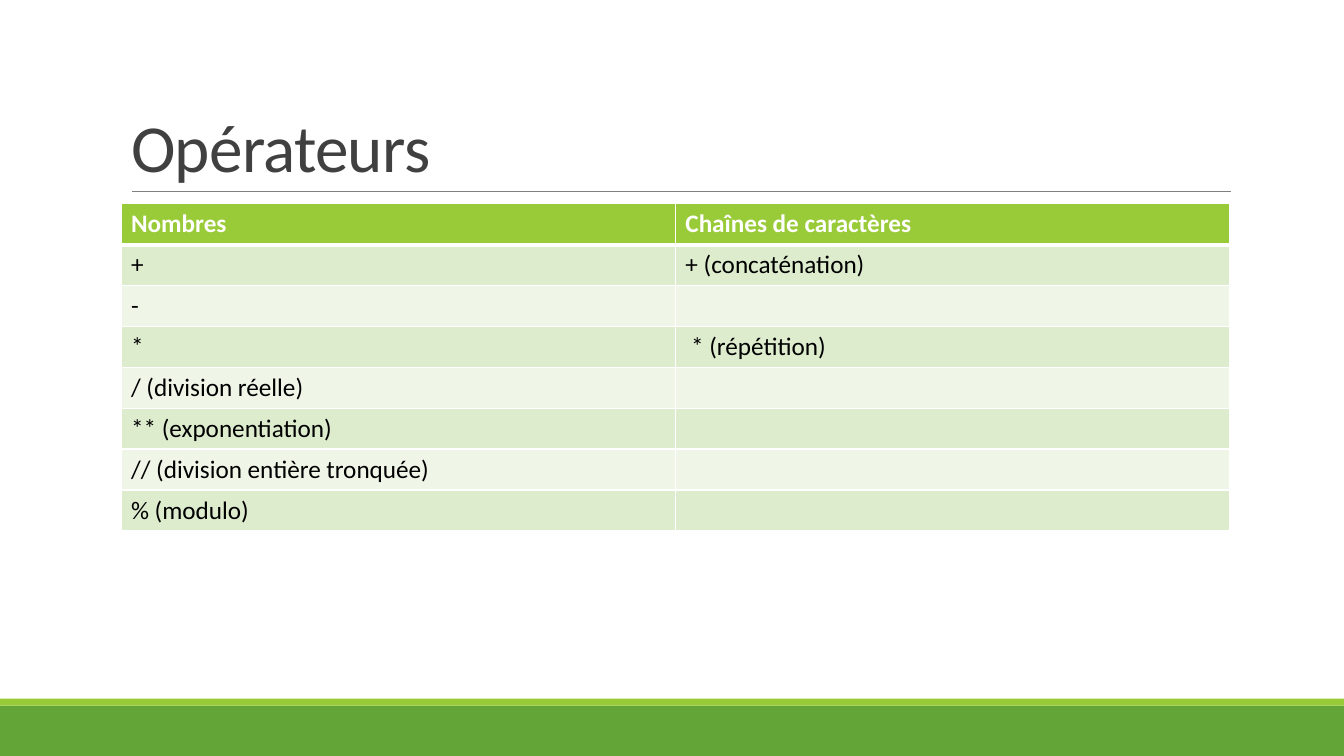
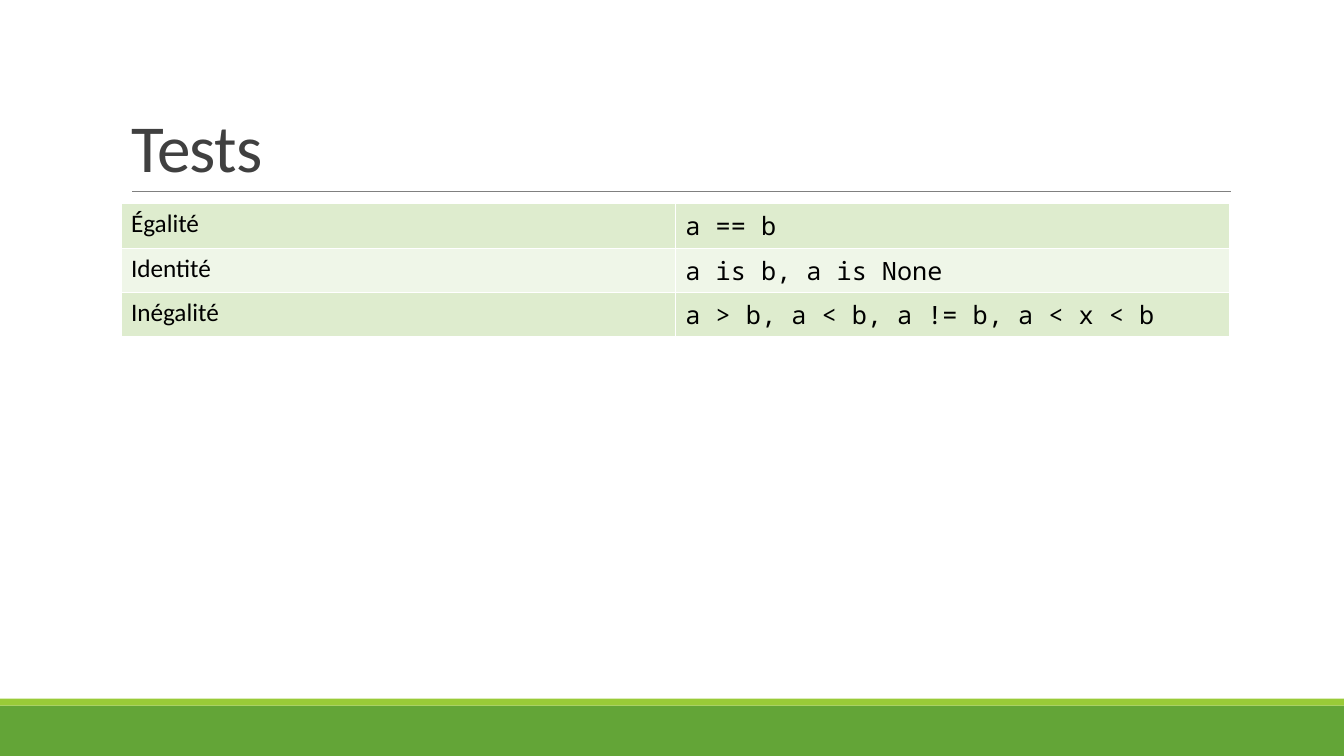
import dataclasses

import lxml.etree
import pptx
import pptx.dml.color
import pptx.enum.shapes
import pptx.enum.text
import pptx.oxml.ns
import pptx.slide
import pptx.util

Pt = pptx.util.Pt
qn = pptx.oxml.ns.qn

GREEN = "63A537"
LIME = "99CB38"
GREY = "808080"
DARK = "404040"
BLACK = "000000"
WHITE = "FFFFFF"
TINTS = ("DEECCE", "EFF6E8")
SANS = "Calibri"
MONO = "Noto Sans Mono"

WIDE, HIGH = 960, 540
LEFT, SPAN = 86.4, 792
RULE = 136.8
TOP = 145.6
ROW = 29.2


@dataclasses.dataclass(frozen=True)
class Band:
    top: float
    high: float
    fill: str


@dataclasses.dataclass(frozen=True)
class Page:
    title: str
    rows: tuple[tuple[str, str], ...]
    fonts: tuple[str, str] = (SANS, SANS)
    head: bool = False


BANDS = (Band(504, 36, GREEN), Band(499, 5, LIME))

PAGES = (
    Page(
        "Opérateurs",
        (
            ("Nombres", "Chaînes de caractères"),
            ("+", "+ (concaténation)"),
            ("-", ""),
            ("*", " * (répétition)"),
            ("/ (division réelle)", ""),
            ("** (exponentiation)", ""),
            ("// (division entière tronquée)", ""),
            ("% (modulo)", ""),
        ),
        head=True,
    ),
    Page(
        "Tests",
        (
            ("Égalité", "a == b"),
            ("Identité", "a is b, a is None"),
            ("Inégalité", "a > b, a < b, a != b, a < x < b"),
        ),
        fonts=(SANS, MONO),
    ),
)


def paint(item, tint: str) -> None:
    item.solid()
    item.fore_color.rgb = pptx.dml.color.RGBColor.from_string(tint)


def write(part, text: str, size: float, font: str, tint: str, bold: bool = False) -> None:
    run = part.add_run()
    run.text = text
    run.font.size = Pt(size)
    run.font.name = font
    run.font.bold = bold
    paint(run.font.fill, tint)


def style(layout: pptx.slide.SlideLayout, slide: pptx.slide.Slide) -> None:
    title = layout.placeholders[0]
    title.left, title.top = Pt(LEFT), Pt(22.3)
    title.width, title.height = Pt(SPAN), Pt(RULE - 22.3)
    parts = []
    for band in BANDS:
        rect = slide.shapes.add_shape(
            pptx.enum.shapes.MSO_SHAPE.RECTANGLE,
            Pt(0), Pt(band.top), Pt(WIDE), Pt(band.high),
        )
        rect.shadow.inherit = False
        paint(rect.fill, band.fill)
        rect.line.fill.background()
        parts.append(rect)
    rule = slide.shapes.add_connector(
        pptx.enum.shapes.MSO_CONNECTOR.STRAIGHT,
        Pt(94.4), Pt(RULE), Pt(879.2), Pt(RULE),
    )
    paint(rule.line.fill, GREY)
    rule.line.width = Pt(0.5)
    lxml.etree.SubElement(rule.element.spPr, qn("a:effectLst"))
    parts.append(rule)
    for mark, part in enumerate(parts, 20):
        part.element.xpath(".//p:cNvPr")[0].set("id", str(mark))
        layout.shapes.element.append(part.element)


def name(slide: pptx.slide.Slide, text: str) -> None:
    title = slide.shapes.title
    frame = title.text_frame
    frame.auto_size = pptx.enum.text.MSO_AUTO_SIZE.NONE
    frame.vertical_anchor = pptx.enum.text.MSO_ANCHOR.BOTTOM
    part = frame.paragraphs[0]
    part.alignment = pptx.enum.text.PP_ALIGN.LEFT
    part.line_spacing = 0.85
    write(part, text, 48, SANS, DARK)
    title.element.xpath(".//a:rPr")[0].set("spc", "-50")


def edge(prop, wide: dict[str, float]) -> None:
    for spot, side in enumerate("LRTB"):
        line = lxml.etree.Element(qn(f"a:ln{side}"), w=str(Pt(wide.get(side, 1))))
        fill = lxml.etree.SubElement(line, qn("a:solidFill"))
        lxml.etree.SubElement(fill, qn("a:srgbClr"), val=WHITE)
        prop.insert(spot, line)


def grid(slide: pptx.slide.Slide, page: Page) -> None:
    count = len(page.rows)
    frame = slide.shapes.add_table(
        count, 2, Pt(LEFT), Pt(TOP), Pt(SPAN), Pt(ROW * count)
    )
    table = frame.table
    table.first_row = page.head
    for row, texts in enumerate(page.rows):
        table.rows[row].height = Pt(ROW)
        top = page.head and row == 0
        for col, text in enumerate(texts):
            cell = table.cell(row, col)
            paint(cell.fill, LIME if top else TINTS[(row - page.head) % 2])
            part = cell.text_frame.paragraphs[0]
            part.font.size = Pt(18)
            if text:
                write(part, text, 18, page.fonts[col], WHITE if top else BLACK, top)
    for spot, prop in enumerate(frame.element.iter(qn("a:tcPr"))):
        row = spot // 2
        thick = {0: {"B": 3}, 1: {"T": 3}}.get(row, {}) if page.head else {}
        edge(prop, thick)


def main() -> None:
    deck = pptx.Presentation()
    deck.slide_width, deck.slide_height = Pt(WIDE), Pt(HIGH)
    layout = deck.slide_layouts[5]
    slides = [deck.slides.add_slide(layout) for _ in PAGES]
    style(layout, slides[0])
    for slide, page in zip(slides, PAGES):
        name(slide, page.title)
        grid(slide, page)
    deck.save("out.pptx")


if __name__ == "__main__":
    main()
